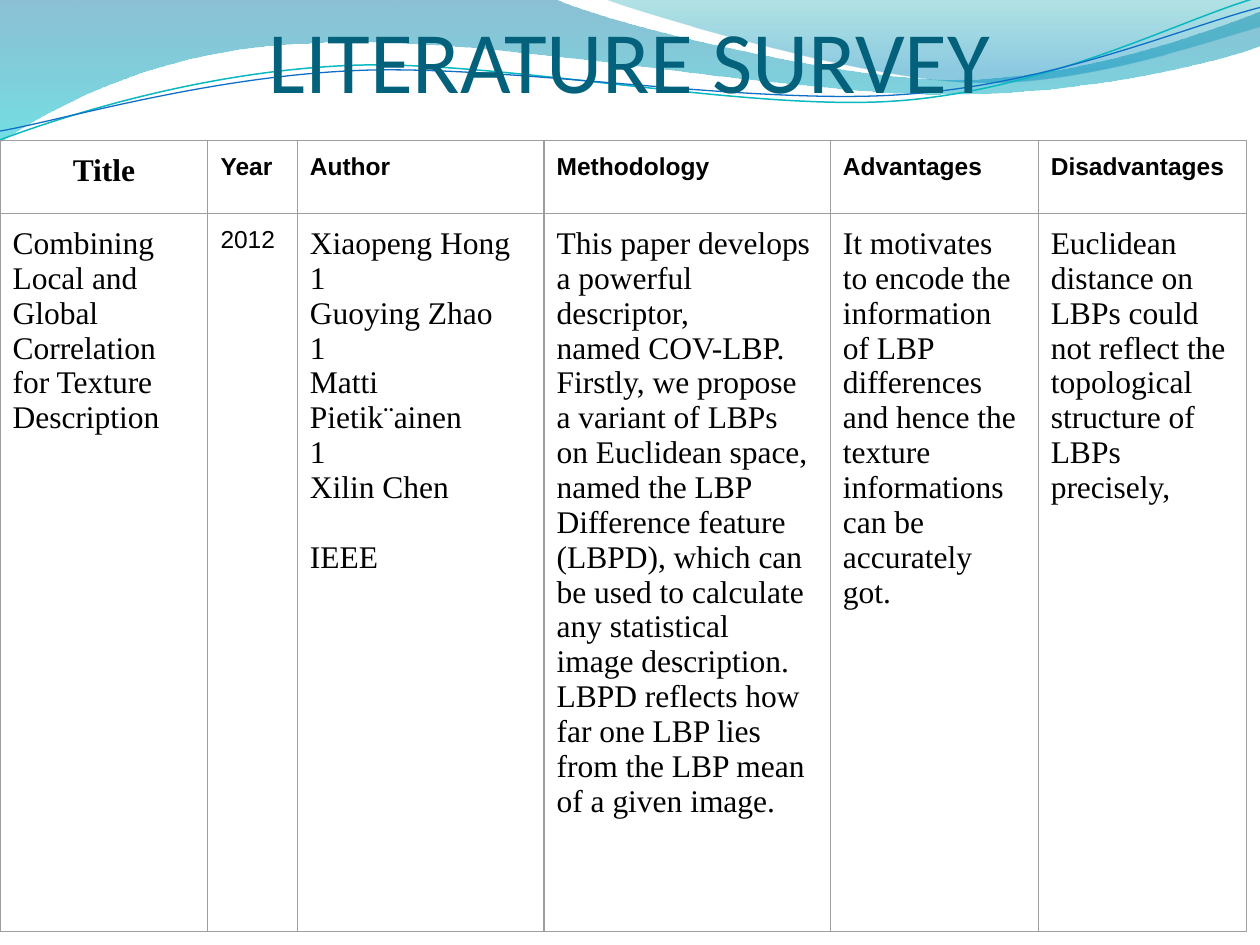
import math
from dataclasses import dataclass
from typing import Optional

from lxml import etree
from pptx import Presentation, util as u
from pptx.dml.color import RGBColor
from pptx.enum import text
from pptx.oxml.ns import qn

COLORS = {
    "title": "04617B", "text": "000000", "grid": "9E9E9E",
    "teal": "0AB8BF", "blue": "0F6FC6",
    "wave_blue": "0074A1", "wave_cyan": "00C6CF",
    "crest_teal": "00A1A9", "crest_blue": "008BBF",
}
SERIF, SANS = "Times New Roman", "Arial"
TILT = 2.7


@dataclass
class Stop:
    position: float
    color: str
    opacity: int


@dataclass
class Wave:
    """Points are in pt; a 2-tuple is a straight step, a 6-tuple a cubic curve."""
    start: tuple
    steps: list
    stops: Optional[list] = None
    line: Optional[str] = None
    width: float = 0.75
    pivot: Optional[tuple] = None


@dataclass
class Column:
    width: float
    heading: str
    body: list
    heading_font: str = SANS
    body_font: str = SERIF
    centered: bool = False


WAVES = [
    Wave((0, 0), [
        (316.8, -0.7), (342.7, 12.2, 478.1, 45.4, 545.8, 45.4),
        (614.2, 45.4, 689.8, 18.7, 720, 6.5), (720.7, 25.9),
        (707.8, 31.7, 626.4, 54.7, 537.1, 54),
        (447.8, 54, 275, 20.2, 185, 24.5),
        (92.9, 25.9, 33.1, 59.8, -0.7, 81.4), (0, 0)],
        stops=[Stop(0, "wave_blue", 45), Stop(1, "wave_cyan", 55)]),
    Wave((344.9, -0.7), [
        (366.5, 7.9, 491, 44.6, 553.7, 46.8),
        (616.3, 49.7, 691.9, 23, 720, 15.1), (720, 0), (344.9, -0.7)],
        stops=[Stop(0, "crest_teal", 30), Stop(0.8, "crest_blue", 45)]),
    Wave((0, 79.9), [
        (34.6, 67, 113.8, 41, 199.4, 37.4),
        (284.4, 33.8, 427, 64.1, 513.4, 57.6),
        (599.8, 51.1, 675.4, 10.8, 718.6, -1.4)],
        line="teal", width=0.85, pivot=(359.3, 41.4)),
    Wave((0, 74.9), [
        (33.8, 69.1, 118.1, 43.9, 203.8, 40.3),
        (290.2, 36.7, 429.8, 60.5, 516.2, 54),
        (601.9, 48.2, 677.5, 15.1, 720, 4.3)],
        line="blue", pivot=(359.6, 42.5)),
]

COLUMNS = [
    Column(118.8, "Title",
           ["Combining Local and Global Correlation for Texture Description"],
           heading_font=SERIF, centered=True),
    Column(51.1, "Year", ["2012"], body_font=SANS),
    Column(141, "Author",
           ["Xiaopeng Hong", "1", "Guoying Zhao", "1", "Matti Pietik¨ainen",
            "1", "Xilin Chen", "IEEE"]),
    Column(163.6, "Methodology",
           ["This paper develops a powerful descriptor,",
            "named COV-LBP. Firstly, we propose a variant of LBPs",
            "on Euclidean space, named the LBP Difference feature",
            "(LBPD), which can be used to calculate any statistical",
            "image description. LBPD reflects how far one LBP lies",
            "from the LBP mean of a given image."]),
    Column(118.8, "Advantages",
           ["It motivates",
            "to encode the information of LBP differences and hence the "
            "texture informations can be accurately got."]),
    Column(118.8, "Disadvantages",
           ["Euclidean distance on LBPs could not reflect the",
            "topological structure of LBPs precisely,"]),
]
ROW_HEIGHTS = (41.8, 410.4)
FONT_SIZES = {SERIF: 18, SANS: 14}
AFFILIATION = "IEEE"


def rgb(name: str) -> RGBColor:
    return RGBColor.from_string(COLORS[name])


def to_level(point: tuple, pivot: Optional[tuple]) -> tuple:
    """Turn a point of a tilted wave back to level, around the wave's pivot."""
    if pivot is None:
        return point
    dx, dy = point[0] - pivot[0], point[1] - pivot[1]
    cos, sin = math.cos(math.radians(TILT)), math.sin(math.radians(TILT))
    return pivot[0] + dx * cos - dy * sin, pivot[1] + dx * sin + dy * cos


def bend(sp, steps: list) -> None:
    """Join each three line segments that belong to one curve into that curve."""
    segments = iter(list(sp.element.iter(qn("a:lnTo"))))
    for step in steps:
        group = [next(segments) for _ in range(len(step) // 2)]
        if len(group) == 3:
            curve = etree.Element(qn("a:cubicBezTo"))
            group[0].addprevious(curve)
            for segment in group:
                curve.append(segment[0])
                segment.getparent().remove(segment)


def draw_wave(s, wave: Wave) -> None:
    points = [wave.start] + [step[i:i + 2] for step in wave.steps
                             for i in range(0, len(step), 2)]
    first, *rest = [tuple(u.Pt(v) for v in to_level(p, wave.pivot)) for p in points]
    builder = s.shapes.build_freeform(*first)
    builder.add_line_segments(rest, close=wave.stops is not None)
    sp = builder.convert_to_shape()
    bend(sp, wave.steps)
    sp.shadow.inherit = False
    if wave.pivot:
        sp.rotation = 360 - TILT
    if wave.stops is None:
        sp.fill.background()
        sp.line.color.rgb = rgb(wave.line)
        sp.line.width = u.Pt(wave.width)
        return
    sp.line.fill.background()
    sp.fill.gradient()
    sp.fill.gradient_angle = 270
    for target, stop in zip(sp.fill.gradient_stops, wave.stops):
        target.position = stop.position
        target.color.rgb = rgb(stop.color)
    for clr, stop in zip(sp.element.spPr.iter(qn("a:srgbClr")), wave.stops):
        etree.SubElement(clr, qn("a:alpha"), val=str(stop.opacity * 1000))


def style_run(r, font: str, size: float, color: str, bold: bool = False) -> None:
    r.font.name, r.font.size, r.font.bold = font, u.Pt(size), bold
    r.font.color.rgb = rgb(color)


def add_title(s, title: str) -> None:
    tf = s.shapes.add_textbox(u.Pt(36), 0, u.Pt(648), u.Pt(67)).text_frame
    tf.word_wrap = True
    tf.vertical_anchor = text.MSO_ANCHOR.MIDDLE
    tf.text = title
    p = tf.paragraphs[0]
    p.alignment = text.PP_ALIGN.CENTER
    style_run(p.runs[0], "Calibri", 50, "title")


def set_borders(cell) -> None:
    tc_pr = cell._tc.get_or_add_tcPr()
    for i, side in enumerate(("lnL", "lnR", "lnT", "lnB")):
        ln = etree.Element(qn(f"a:{side}"), w=str(u.Pt(0.75)))
        fill = etree.SubElement(ln, qn("a:solidFill"))
        etree.SubElement(fill, qn("a:srgbClr"), val=COLORS["grid"])
        tc_pr.insert(i, ln)


def fill_cell(cell, lines: list, font: str, bold: bool, centered: bool) -> None:
    cell.fill.background()
    set_borders(cell)
    cell.margin_left = cell.margin_right = u.Pt(7.2)
    cell.margin_top = cell.margin_bottom = u.Pt(7.2)
    cell.text_frame.text = "\n".join(lines)
    for p in cell.text_frame.paragraphs:
        p.alignment = text.PP_ALIGN.CENTER if centered else text.PP_ALIGN.LEFT
        if p.text == AFFILIATION:
            p.space_before = u.Pt(20)
        style_run(p.runs[0], font, FONT_SIZES[font], "text", bold)


def add_survey(s) -> None:
    width = sum(c.width for c in COLUMNS)
    table = s.shapes.add_table(2, len(COLUMNS), 0, u.Pt(80.3), u.Pt(width),
                               u.Pt(sum(ROW_HEIGHTS))).table
    table.first_row = table.horz_banding = False
    for row, height in zip(table.rows, ROW_HEIGHTS):
        row.height = u.Pt(height)
    for i, c in enumerate(COLUMNS):
        table.columns[i].width = u.Pt(c.width)
        fill_cell(table.cell(0, i), [c.heading], c.heading_font, True, c.centered)
        fill_cell(table.cell(1, i), c.body, c.body_font, False, False)


if __name__ == "__main__":
    prs = Presentation()
    prs.slide_width, prs.slide_height = u.Pt(720), u.Pt(540)
    s = prs.slides.add_slide(prs.slide_layouts[6])
    for wave in WAVES:
        draw_wave(s, wave)
    add_title(s, "LITERATURE SURVEY")
    add_survey(s)
    prs.save("out.pptx")
